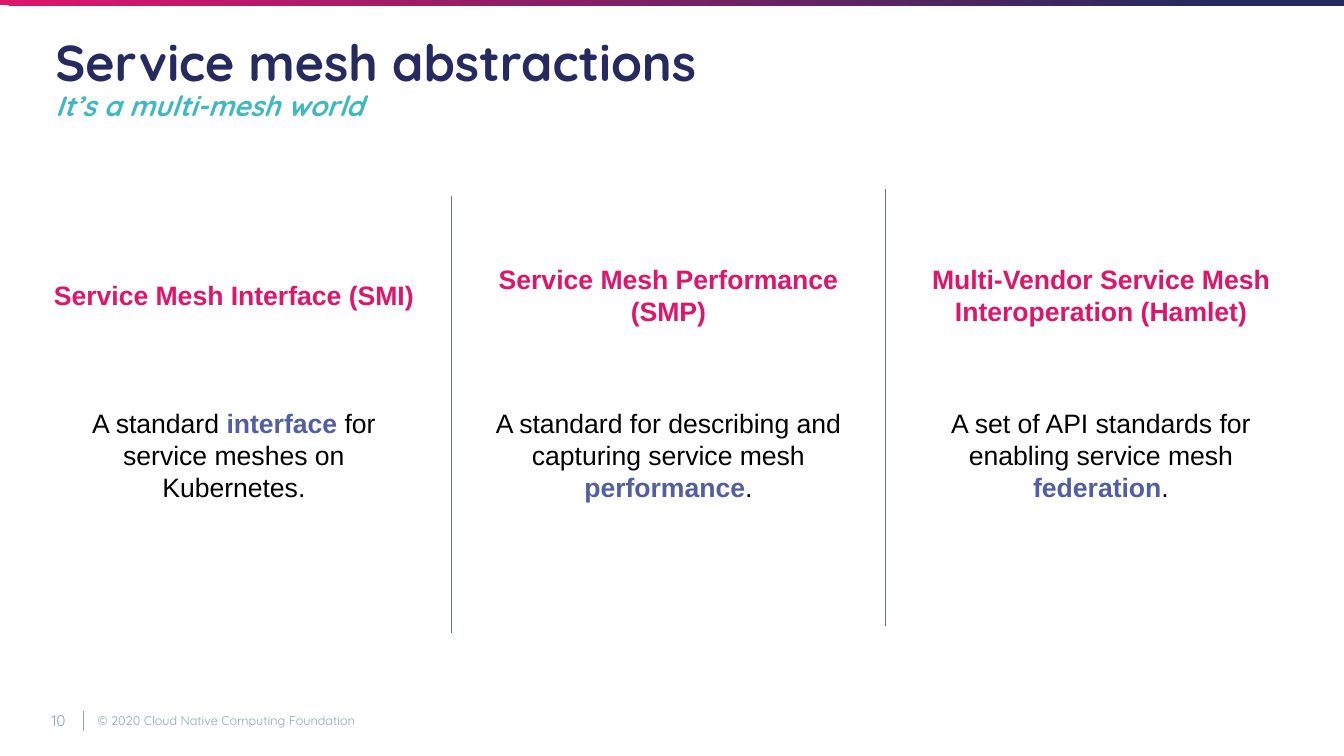
from dataclasses import dataclass
from typing import NamedTuple

from lxml import etree
from pptx import Presentation
from pptx import util as u
from pptx.dml.color import RGBColor
from pptx.enum import shapes, text
from pptx.oxml import ns

PX = 9144  # EMU; one hundred px to the inch


@dataclass(frozen=True)
class Theme:
    pink: str = "DF156C"
    navy: str = "252A60"
    teal: str = "3EB8C1"
    indigo: str = "515EA1"
    black: str = "000000"
    footer: str = "8EA8AF"
    divider: str = "647881"
    display: str = "Quicksand"
    body: str = "Arial"
    title_size: int = 36
    subtitle_size: int = 20
    body_size: int = 19
    number_size: int = 11
    footer_size: int = 9


THEME = Theme()


class Area(NamedTuple):
    left: int
    top: int
    width: int
    height: int


class Span(NamedTuple):
    words: str
    size: int
    color: str
    font: str = THEME.body
    bold: bool = False
    italic: bool = False
    new_line: bool = False


class Standard(NamedTuple):
    left: int
    name: str
    before: str
    keyword: str
    after: str


class Rule(NamedTuple):
    x: int
    top: int
    bottom: int
    color: str
    weight: float


STANDARDS = (
    Standard(40, "Service Mesh Interface (SMI)",
             "A standard ", "interface", " for service meshes on Kubernetes."),
    Standard(471, "Service Mesh Performance (SMP)",
             "A standard for describing and capturing service mesh ", "performance", "."),
    Standard(900, "Multi-Vendor Service Mesh Interoperation (Hamlet)",
             "A set of API standards for enabling service mesh ", "federation", "."),
)
RULES = (
    Rule(83, 705, 725, THEME.footer, 1),
    Rule(448, 194, 628, THEME.divider, 0.75),
    Rule(878, 188, 621, THEME.divider, 0.75),
)
COLUMN_WIDTH = 384


def px(length: int) -> u.Emu:
    return u.Emu(length * PX)


def add_text(page, area: Area, spans: list[Span], inset: tuple[int, int],
             centered: bool = False, line_spacing: float = 1.0) -> None:
    """Add a middle-anchored paragraph; inset is horizontal, then vertical."""
    box = page.shapes.add_textbox(*map(px, area))
    frame = box.text_frame
    frame.word_wrap = True
    frame.vertical_anchor = text.MSO_ANCHOR.MIDDLE
    frame.margin_left = frame.margin_right = px(inset[0])
    frame.margin_top = frame.margin_bottom = px(inset[1])
    para = frame.paragraphs[0]
    para.alignment = text.PP_ALIGN.CENTER if centered else text.PP_ALIGN.LEFT
    para.line_spacing = line_spacing
    for span in spans:
        if span.new_line:
            para.add_line_break()
        run = para.add_run()
        run.text = span.words
        run.font.name = span.font
        run.font.size = u.Pt(span.size)
        run.font.bold = span.bold
        run.font.italic = span.italic
        run.font.color.rgb = RGBColor.from_string(span.color)


def add_rule(page, rule: Rule) -> None:
    line = page.shapes.add_connector(shapes.MSO_CONNECTOR.STRAIGHT, px(rule.x),
                                     px(rule.top), px(rule.x), px(rule.bottom))
    line.line.color.rgb = RGBColor.from_string(rule.color)
    line.line.width = u.Pt(rule.weight)
    etree.SubElement(line.element.spPr, ns.qn("a:effectLst"))


def add_top_band(page) -> None:
    band = page.shapes.add_shape(shapes.MSO_SHAPE.RECTANGLE, *map(px, Area(0, 0, 1333, 5)))
    band.shadow.inherit = False
    band.line.fill.background()
    band.fill.gradient()
    band.fill.gradient_angle = 320
    stops = ((0, THEME.pink), (0.91, THEME.navy))
    for stop, (position, color) in zip(band.fill.gradient_stops, stops):
        stop.position = position
        stop.color.rgb = RGBColor.from_string(color)


def add_standard(page, standard: Standard) -> None:
    size = THEME.body_size
    add_text(page, Area(standard.left, 261, COLUMN_WIDTH, 63),
             [Span(standard.name, size, THEME.pink, bold=True)], (13, 13), centered=True)
    description = [
        Span(standard.before, size, THEME.black),
        Span(standard.keyword, size, THEME.indigo, bold=True),
        Span(standard.after, size, THEME.black),
    ]
    add_text(page, Area(standard.left, 358, COLUMN_WIDTH, 186), description,
             (13, 13), centered=True)


def main() -> None:
    deck = Presentation()
    deck.slide_width, deck.slide_height = px(1333), px(750)
    page = deck.slides.add_slide(deck.slide_layouts[6])
    add_top_band(page)
    add_text(page, Area(87, 695, 450, 40),
             [Span("© 2020 Cloud Native Computing Foundation", THEME.footer_size,
                   THEME.footer, THEME.display)], (10, 5))
    add_text(page, Area(38, 695, 40, 40),
             [Span("10", THEME.number_size, THEME.footer, THEME.display)],
             (10, 5), centered=True)
    add_text(page, Area(45, 38, 1242, 83), [
        Span("Service mesh abstractions", THEME.title_size, THEME.navy,
             THEME.display, bold=True),
        Span("It’s a multi-mesh world", THEME.subtitle_size, THEME.teal,
             THEME.display, bold=True, italic=True, new_line=True),
    ], (10, 10), line_spacing=0.9)
    for standard in STANDARDS:
        add_standard(page, standard)
    for rule in RULES:
        add_rule(page, rule)
    deck.save("out.pptx")


if __name__ == "__main__":
    main()
